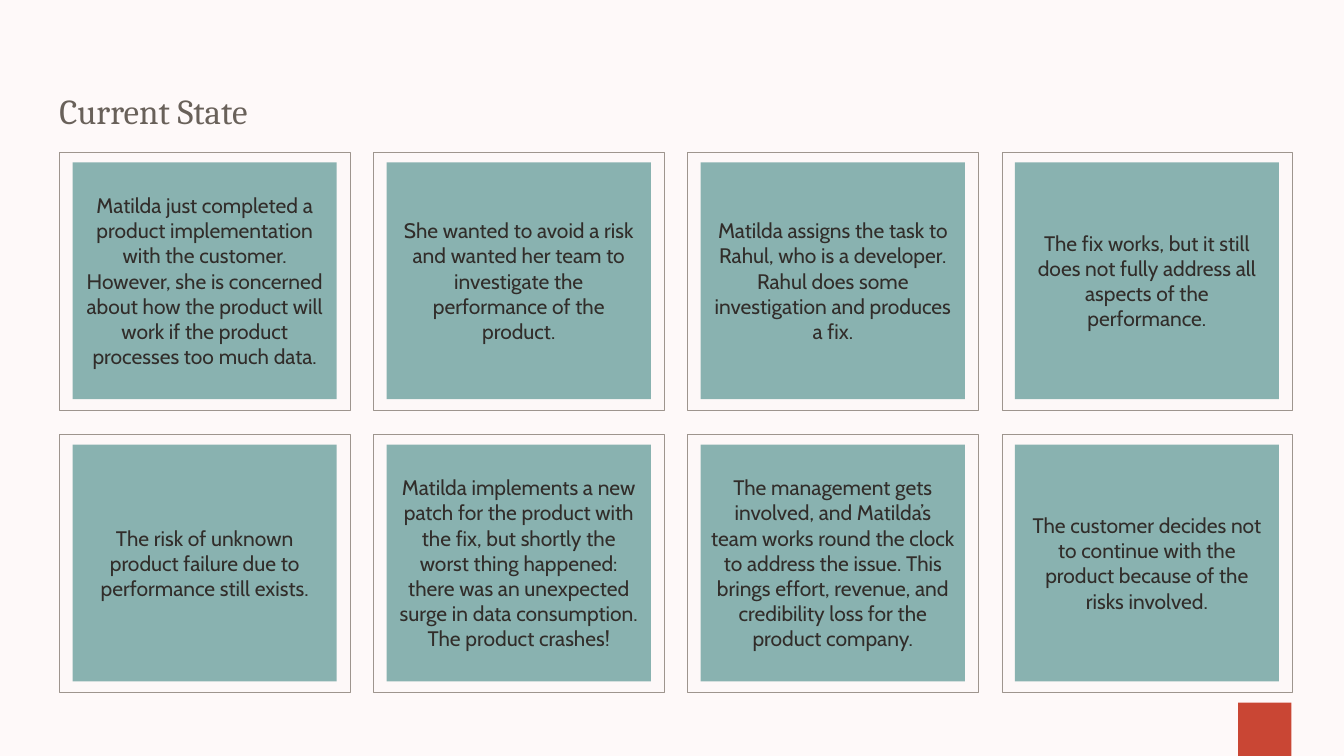
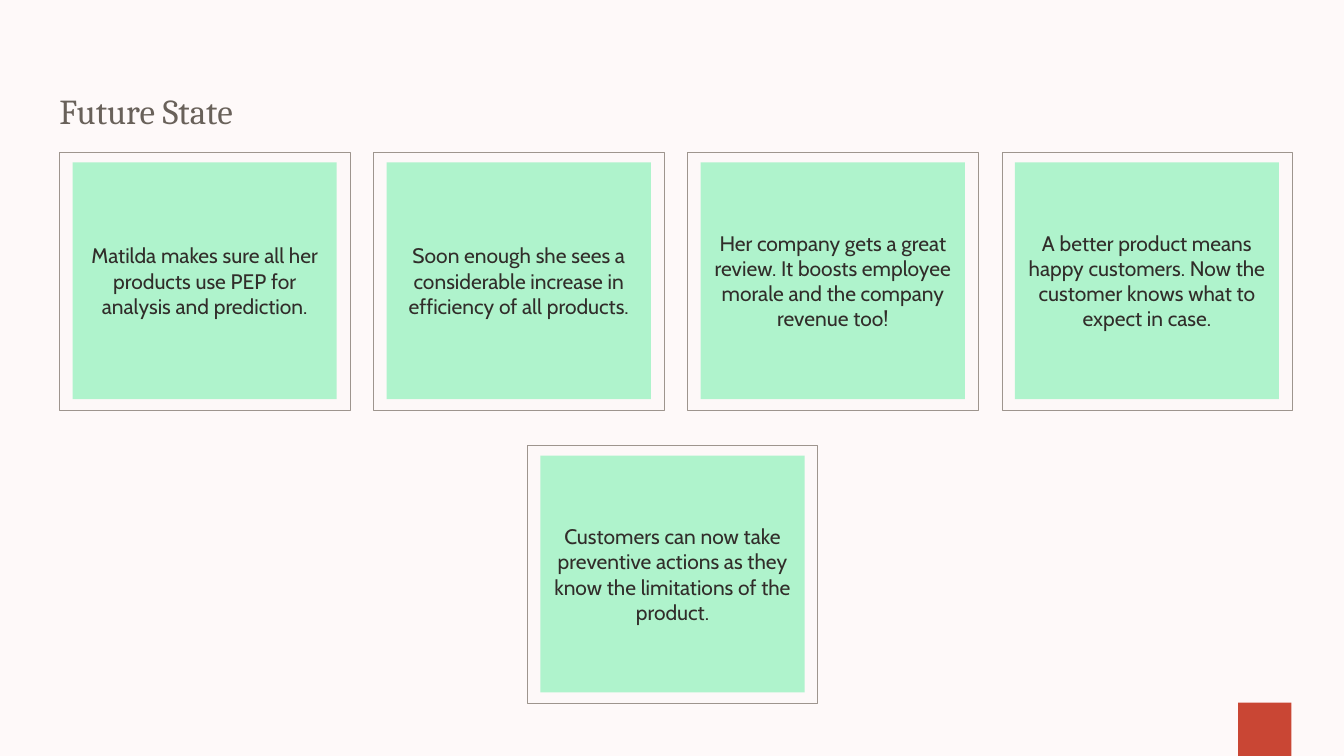
"""Build the Current State and Future State card slides."""
from pptx import Presentation
from pptx.dml.color import RGBColor
from pptx.enum.shapes import MSO_SHAPE as Shape
from pptx.enum.text import MSO_ANCHOR as Anchor, PP_ALIGN as Align
from pptx.util import Inches, Pt

BACKGROUND, FRAME_FILL, FRAME_LINE = "FEF9F9", "FDF8F8", "9E958E"
TITLE_COLOR, TEXT_COLOR, BADGE_COLOR = "69615A", "312D2A", "C94634"
LEFT, TOP = 0.59, 1.51
COLUMN_STEP, ROW_STEP = 3.115, 2.8
FRAME_WIDTH, FRAME_HEIGHT = 2.88, 2.56
CARD_WIDTH, CARD_HEIGHT = 2.62, 2.35
INSET_X, INSET_Y = 0.13, 0.1

GRID = [(LEFT + column * COLUMN_STEP, TOP + row * ROW_STEP)
        for row in range(2) for column in range(4)]

SLIDES = [
    ("Current State", "89B2B0", GRID, [
        "Matilda just completed a product implementation with the customer. However, "
        "she is concerned about how the product will work if the product processes "
        "too much data.",
        "She wanted to avoid a risk and wanted her team to investigate the "
        "performance of the product.",
        "Matilda assigns the task to Rahul, who is a developer. Rahul does some "
        "investigation and produces a fix.",
        "The fix works, but it still does not fully address all aspects of the "
        "performance.",
        "The risk of unknown product failure due to performance still exists.",
        "Matilda implements a new patch for the product with the fix, but shortly "
        "the worst thing happened: there was an unexpected surge in data "
        "consumption. The product crashes!",
        "The management gets involved, and Matilda’s team works round the clock to "
        "address the issue. This brings effort, revenue, and credibility loss for "
        "the product company.",
        "The customer decides not to continue with the product because of the "
        "risks involved.",
    ]),
    ("Future State", "AFF3CC", GRID[:4] + [(5.23, 4.42)], [
        "Matilda makes sure all her products use PEP for analysis and prediction.",
        "Soon enough she sees a considerable increase in efficiency of all products.",
        "Her company gets a great review. It boosts employee morale and the company "
        "revenue too!",
        "A better product means happy customers. Now the customer knows what to "
        "expect in case.",
        "Customers can now take preventive actions as they know the limitations of "
        "the product.",
    ]),
]


def add_box(slide, left, top, width, height, fill=None, line=None, text="",
            font="Cabin", size=15, color=TEXT_COLOR, align=Align.CENTER,
            anchor=Anchor.MIDDLE, margin_left=0.1, spacing=None):
    shape = slide.shapes.add_shape(Shape.RECTANGLE, Inches(left), Inches(top),
                                   Inches(width), Inches(height))
    shape.shadow.inherit = False
    if fill:
        shape.fill.solid()
        shape.fill.fore_color.rgb = RGBColor.from_string(fill)
    else:
        shape.fill.background()
    if line:
        shape.line.color.rgb = RGBColor.from_string(line)
        shape.line.width = Pt(0.25)
    else:
        shape.line.fill.background()
    if text:
        frame = shape.text_frame
        frame.word_wrap = True
        frame.vertical_anchor = anchor
        frame.margin_left = Inches(margin_left)
        paragraph = frame.paragraphs[0]
        paragraph.alignment = align
        if spacing:
            paragraph.line_spacing = Pt(spacing)
        run = paragraph.add_run()
        run.text = text
        run.font.name = font
        run.font.size = Pt(size)
        run.font.color.rgb = RGBColor.from_string(color)


presentation = Presentation()
presentation.slide_width = Inches(13.33)
presentation.slide_height = Inches(7.5)

for title, card_color, positions, texts in SLIDES:
    slide = presentation.slides.add_slide(presentation.slide_layouts[6])
    slide.background.fill.solid()
    slide.background.fill.fore_color.rgb = RGBColor.from_string(BACKGROUND)
    add_box(slide, 12.28, 6.97, 0.53, 0.53, fill=BADGE_COLOR)
    add_box(slide, LEFT, 0.87, 12.16, 0.4, text=title, font="Cambria", size=25,
            color=TITLE_COLOR, align=Align.LEFT, anchor=Anchor.TOP,
            margin_left=0, spacing=28)
    for (left, top), text in zip(positions, texts):
        add_box(slide, left, top, FRAME_WIDTH, FRAME_HEIGHT,
                fill=FRAME_FILL, line=FRAME_LINE)
        add_box(slide, left + INSET_X, top + INSET_Y, CARD_WIDTH, CARD_HEIGHT,
                fill=card_color, text=text)

presentation.save("out.pptx")
